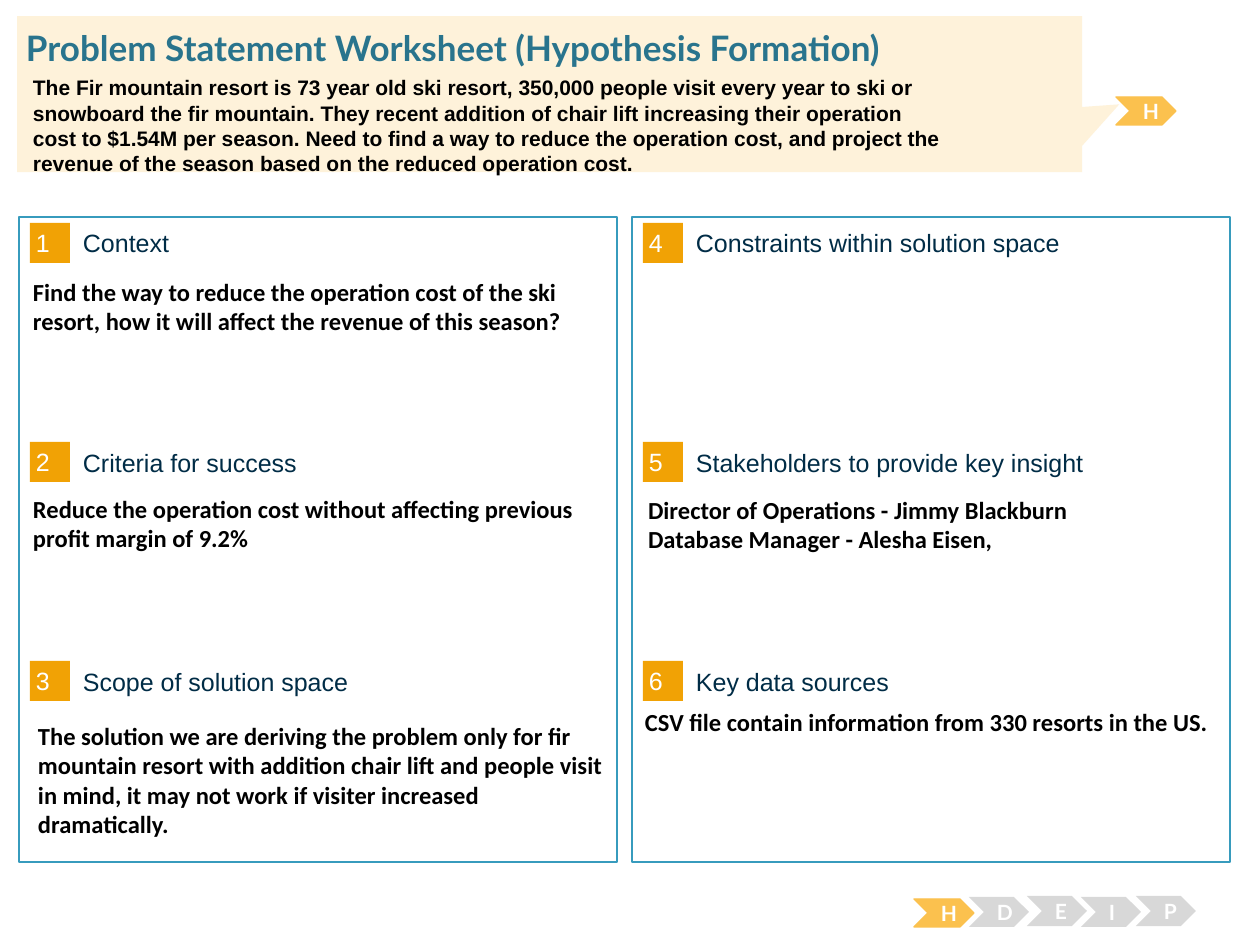
"""Build the problem statement worksheet slide."""
from pptx import Presentation
from pptx import util as u
from pptx.dml.color import RGBColor
from pptx.enum import shapes, text

SCALE = 914400 / 126
WHITE = RGBColor(0xFF, 0xFF, 0xFF)
BLACK = RGBColor(0, 0, 0)
BLUE = RGBColor(0x37, 0x9B, 0xBD)
TEAL = RGBColor(0x29, 0x74, 0x8D)
NAVY = RGBColor(0x00, 0x2C, 0x46)
ORANGE = RGBColor(0xF1, 0xA2, 0x05)
AMBER = RGBColor(0xFB, 0xC1, 0x4E)
GREY = RGBColor(0xD8, 0xD8, 0xD8)
CREAM = RGBColor(0xFE, 0xF2, 0xDA)
KIND = shapes.MSO_SHAPE
ALIGN = text.PP_ALIGN
ANCHOR = text.MSO_ANCHOR

deck = Presentation()
deck.slide_width = round(1260 * SCALE)
deck.slide_height = round(945 * SCALE)
page = deck.slides.add_slide(deck.slide_layouts[6])


def add_box(place, kind=None, fill=None, line=None, weight=0.75):
    left, top, width, height = (round(px * SCALE) for px in place)
    if kind is None:
        return page.shapes.add_textbox(left, top, width, height)
    box = page.shapes.add_shape(kind, left, top, width, height)
    box.shadow.inherit = False
    box.fill.solid()
    box.fill.fore_color.rgb = fill
    if line is None:
        box.line.fill.background()
    else:
        box.line.color.rgb = line
        box.line.width = u.Pt(weight)
    return box


def write(box, lines, size, font, color, bold=False, inset=(13, 6),
          align=ALIGN.LEFT, anchor=ANCHOR.TOP):
    frame = box.text_frame
    frame.word_wrap = True
    frame.vertical_anchor = anchor
    frame.margin_left = frame.margin_right = round(inset[0] * SCALE)
    frame.margin_top = frame.margin_bottom = round(inset[1] * SCALE)
    for index, line in enumerate(lines):
        para = frame.add_paragraph() if index else frame.paragraphs[0]
        para.alignment = align
        span = para.add_run()
        span.text = line
        span.font.size = u.Pt(size)
        span.font.name = font
        span.font.bold = bold
        span.font.color.rgb = color


headings = [
    ["Context", "Criteria for success", "Scope of solution space"],
    ["Constraints within solution space", "Stakeholders to provide key insight", "Key data sources"],
]
for column, titles in enumerate(headings):
    panel_left = 19 + 613 * column
    add_box((panel_left, 217, 598, 645), KIND.RECTANGLE, WHITE, BLUE, 1.5)
    for row, title in enumerate(titles):
        top = 223 + 219 * row
        badge = add_box((panel_left + 11, top, 40, 40), KIND.RECTANGLE, ORANGE)
        write(badge, [str(3 * column + row + 1)], 14.3, "Arial", WHITE,
              inset=(6, 6), anchor=ANCHOR.MIDDLE)
        heading = add_box((panel_left + 64, top + 4, 495, 32))
        write(heading, [title], 14.3, "Arial", NAVY, inset=(0, 0), anchor=ANCHOR.MIDDLE)

answers = [
    ((20, 271, 596, 171), ["Find the way to reduce the operation cost of the ski resort, "
                           "how it will affect the revenue of this season?"]),
    ((20, 488, 596, 194), ["Reduce the operation cost without affecting previous profit margin of 9.2%"]),
    ((25, 715, 596, 135), ["The solution we are deriving the problem only for fir mountain resort "
                           "with addition chair lift and people visit in mind, "
                           "it may not work if visiter increased dramatically."]),
    ((635, 489, 596, 149), ["Director of Operations - Jimmy Blackburn",
                            "Database Manager - Alesha Eisen,"]),
    ((632, 701, 596, 149), ["CSV file contain information from 330 resorts in the US."]),
]
for place, lines in answers:
    write(add_box(place), lines, 14, "Calibri", BLACK, bold=True)

steps = [
    ("H", (914, 899, 60, 28), AMBER, AMBER),
    ("D", (969, 897, 60, 30), GREY, None),
    ("E", (1027, 896, 60, 30), GREY, None),
    ("I", (1081, 897, 60, 30), GREY, None),
    ("P", (1136, 896, 60, 30), GREY, None),
    ("H", (1116, 97, 60, 28), AMBER, AMBER),
]
for letter, place, fill, line in steps:
    chevron = add_box(place, KIND.CHEVRON, fill, line)
    write(chevron, [letter], 12, "Lato", WHITE, bold=True,
          align=ALIGN.CENTER, anchor=ANCHOR.MIDDLE)

callout = add_box((17, 16, 1065, 156), KIND.RECTANGULAR_CALLOUT, CREAM)
callout.adjustments[0] = 0.535
callout.adjustments[1] = 0.066

title_box = add_box((26, 26, 1212, 43))
write(title_box, ["Problem Statement Worksheet (Hypothesis Formation)"], 20, "Lato", TEAL,
      bold=True, inset=(0, 0))

summary = add_box((20, 69, 1183, 127))
write(summary, [
    "The Fir mountain resort is 73 year old ski resort, 350,000 people visit every year to ski or",
    "snowboard the fir mountain. They recent addition of chair lift increasing their operation",
    "cost to $1.54M per season. Need to find a way to reduce the operation cost, and project the",
    "revenue of the season based on the reduced operation cost.",
], 12, "Arial", BLACK, bold=True)

deck.save("out.pptx")
